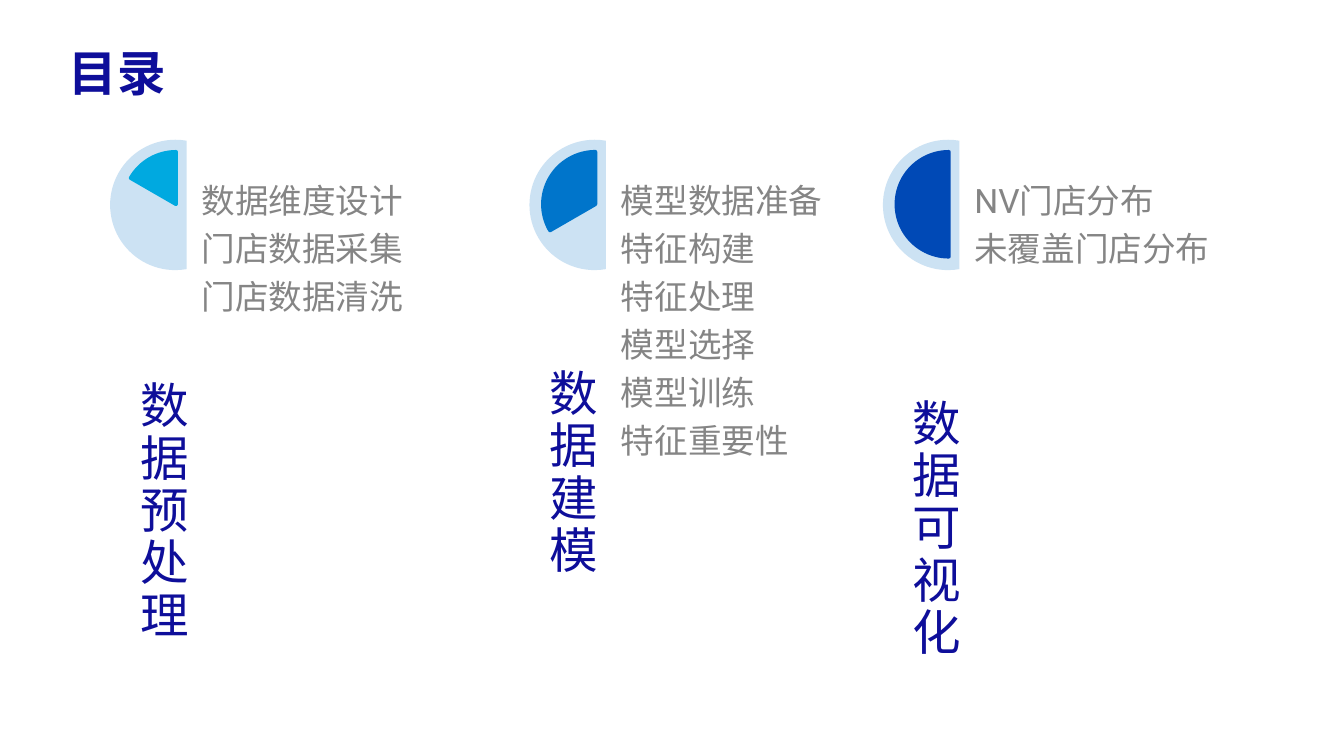
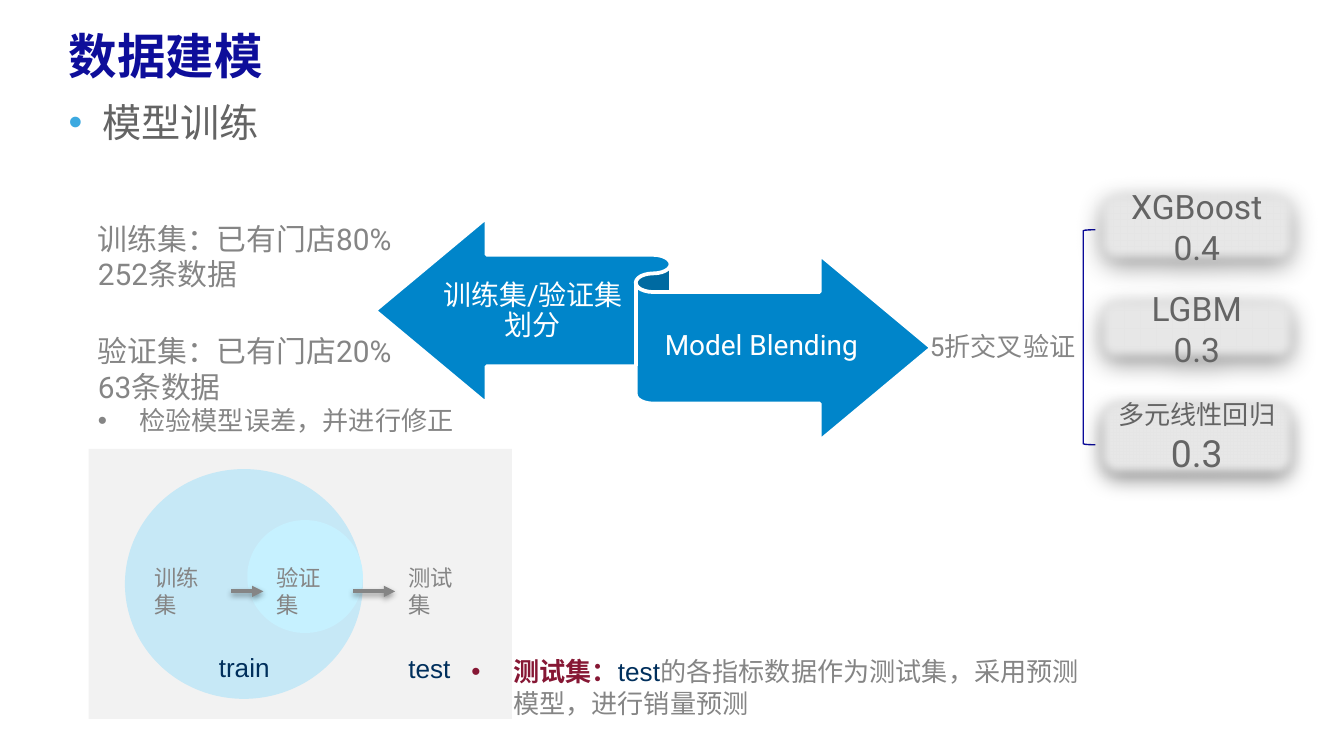
from lxml import etree
from pptx import Presentation
from pptx.dml.color import RGBColor
from pptx.enum.shapes import MSO_CONNECTOR, MSO_SHAPE
from pptx.enum.text import MSO_ANCHOR, MSO_AUTO_SIZE, PP_ALIGN
from pptx.oxml.ns import qn
from pptx.util import Inches, Pt

NAVY = RGBColor(0x0E, 0x0E, 0x9A)
BRACKET_BLUE = RGBColor(0x0A, 0x0A, 0x9A)
INK_BLUE = RGBColor(0x00, 0x2F, 0x5C)
CYAN = RGBColor(0x00, 0xA9, 0xE0)
MID_BLUE = RGBColor(0x00, 0x75, 0xCB)
DEEP_BLUE = RGBColor(0x00, 0x49, 0xB6)
RIBBON_BLUE = RGBColor(0x00, 0x85, 0xCA)
BULLET_BLUE = RGBColor(0x3C, 0xA9, 0xE0)
PALE_BLUE = RGBColor(0xCC, 0xE2, 0xF3)
TRAIN_BLUE = RGBColor(0xC6, 0xE8, 0xF6)
VALID_BLUE = RGBColor(0xC6, 0xF1, 0xFF)
MAROON = RGBColor(0x86, 0x17, 0x34)
GRAY = RGBColor(0x85, 0x85, 0x85)
DARK_GRAY = RGBColor(0x64, 0x64, 0x64)
CARD_GRAY = RGBColor(0xE7, 0xE7, 0xE7)
EDGE_GRAY = RGBColor(0xD9, 0xD9, 0xD9)
PANEL_GRAY = RGBColor(0xF2, 0xF2, 0xF2)
BLACK = RGBColor(0, 0, 0)
WHITE = RGBColor(0xFF, 0xFF, 0xFF)

LEFT, CENTER, RIGHT = PP_ALIGN.LEFT, PP_ALIGN.CENTER, PP_ALIGN.RIGHT
TOP, MIDDLE, BOTTOM = MSO_ANCHOR.TOP, MSO_ANCHOR.MIDDLE, MSO_ANCHOR.BOTTOM
FIT_SHAPE, NO_FIT = MSO_AUTO_SIZE.SHAPE_TO_FIT_TEXT, MSO_AUTO_SIZE.NONE
CHORD, PIE = MSO_SHAPE.CHORD, MSO_SHAPE.PIE
RECT, OVAL, ROUNDED = MSO_SHAPE.RECTANGLE, MSO_SHAPE.OVAL, MSO_SHAPE.ROUNDED_RECTANGLE
RIBBON, BRACKET = MSO_SHAPE.LEFT_RIGHT_RIBBON, MSO_SHAPE.LEFT_BRACKET
STRAIGHT = MSO_CONNECTOR.STRAIGHT

FONT = "Roboto"
DEGREE = 0.6  # adjustment units per degree
RIGHT_SIDE, LEFT_SIDE = 3, 1
SPACED = dict(spacing=0.9, after_pct=35)


# Shared helpers
def child(parent, tag, **attributes):
    element = etree.SubElement(parent, qn(tag))
    for key, value in attributes.items():
        element.set(key, str(value))
    return element


def format_paragraph(paragraph, align=LEFT, spacing=None, before=None, before_pct=None,
                     after_pct=None, hang=0, bullet_color=None):
    paragraph.alignment = align
    if spacing:
        paragraph.line_spacing = spacing
    if before:
        paragraph.space_before = Pt(before)
    properties = paragraph._p.get_or_add_pPr()
    for tag, percent in (("a:spcBef", before_pct), ("a:spcAft", after_pct)):
        if percent:
            child(child(properties, tag), "a:spcPct", val=percent * 1000)
    properties.set("marL", str(Inches(hang)))
    properties.set("indent", str(-Inches(hang)))
    if hang:
        if bullet_color:
            child(child(properties, "a:buClr"), "a:srgbClr", val=bullet_color)
        child(properties, "a:buFont", typeface="Arial")
        child(properties, "a:buChar", char="•")


def write(frame, *paragraphs, insets=(0.1, 0.05), anchor=TOP, fit=NO_FIT,
          size=18, color=GRAY, font=FONT, bold=False, **layout):
    """Each paragraph is a string or a list of runs (text, changes), or a dict
    with such "runs" and its own format."""
    frame.word_wrap = True
    frame.auto_size = fit
    frame.vertical_anchor = anchor
    frame.margin_left = frame.margin_right = Inches(insets[0])
    frame.margin_top = frame.margin_bottom = Inches(insets[1])
    for index, item in enumerate(paragraphs):
        own = dict(item) if isinstance(item, dict) else dict(runs=item)
        runs = own.pop("runs")
        own_size = own.pop("size", size)
        paragraph = frame.paragraphs[0] if index == 0 else frame.add_paragraph()
        format_paragraph(paragraph, **{**layout, **own})
        for text, changes in [(runs, {})] if isinstance(runs, str) else runs:
            run = paragraph.add_run()
            run.text = text
            run.font.size = Pt(own_size)
            run.font.name = changes.get("font", font)
            run.font.bold = changes.get("bold", bold)
            run.font.color.rgb = changes.get("color", color)
            child(run._r.get_or_add_rPr(), "a:ea", typeface=FONT)


def place(shape, box):
    shape.left, shape.top, shape.width, shape.height = map(Inches, box)


def add_text(slide, box, *paragraphs, **style):
    label = slide.shapes.add_textbox(*map(Inches, box))
    write(label.text_frame, *paragraphs, **style)
    return label


def add_shape(slide, preset, box, fill=None, line=None, width=2, angles=()):
    shape = slide.shapes.add_shape(preset, *map(Inches, box))
    shape.shadow.inherit = False
    if fill is None:
        shape.fill.background()
    else:
        shape.fill.solid()
        shape.fill.fore_color.rgb = fill
    if line is None:
        shape.line.fill.background()
    else:
        shape.line.color.rgb = line
        shape.line.width = Pt(width)
    for index, angle in enumerate(angles):
        shape.adjustments[index] = angle * DEGREE
    return shape


def add_shadow(shape, alpha, blur, distance, soft_edge=0):
    properties = shape._element.spPr
    effects = properties.find(qn("a:effectLst"))
    if effects is None:
        effects = child(properties, "a:effectLst")
    shadow = child(effects, "a:outerShdw", blurRad=Pt(blur), dist=Pt(distance),
                   dir=90 * 60000, rotWithShape=0)
    child(child(shadow, "a:srgbClr", val=BLACK), "a:alpha", val=alpha * 1000)
    if soft_edge:
        child(effects, "a:softEdge", rad=Pt(soft_edge))


def add_arrow(slide, source, target):
    arrow = slide.shapes.add_connector(STRAIGHT, 0, 0, 0, 0)
    arrow.begin_connect(source, RIGHT_SIDE)
    arrow.end_connect(target, LEFT_SIDE)
    arrow.line.color.rgb = GRAY
    arrow.line.width = Pt(2)
    child(arrow.line._get_or_add_ln(), "a:tailEnd", type="triangle")
    add_shadow(arrow, 38, 3.1, 1.6)


def set_title(slide, text, top, height):
    title = slide.shapes.title
    place(title, (0.41, top, 7.85, height))
    write(title.text_frame, text, size=26, color=NAVY, bold=True, spacing=Pt(26.6))


# Contents slide
def add_chapter(slide, left, top, name, name_left, name_top, topics, topics_width,
                color, start):
    add_shape(slide, CHORD, (left, top, 0.97, 0.97), PALE_BLUE, angles=(80, 280))
    add_shape(slide, PIE, (left + 0.1, top + 0.09, 0.78, 0.78), color, color,
              angles=(start, 270))
    heading = add_text(slide, (left + name_left, top + name_top, 2.82, 0.58), name,
                       size=26, color=NAVY, anchor=BOTTOM, insets=(0, 0), align=RIGHT,
                       **SPACED)
    heading.rotation = 270
    heading.text_frame._txBody.bodyPr.set("vert", "vert")
    add_text(slide, (left + 0.68, top + 0.33, topics_width, 3.21), *topics,
             insets=(0, 0), **SPACED)


def build_contents(deck):
    slide = deck.slides.add_slide(deck.slide_layouts[5])
    set_title(slide, "目录", 0.33, 0.88)
    chapters = [
        (0.82, "数据预处理", -1.11, 2.05, ["数据维度设计", "门店数据采集", "门店数据清洗"],
         2.1, CYAN, 210),
        (3.94, "数据建模", -1.19, 1.57, ["模型数据准备", "特征构建", "特征处理", "模型选择",
                                     "模型训练", "特征重要性"], 1.6, MID_BLUE, 150),
        (6.57, "数据可视化", -1.12, 2.18, ["NV门店分布", "未覆盖门店分布"],
         2.34, DEEP_BLUE, 90),
    ]
    for left, *details in chapters:
        add_chapter(slide, left, 1.04, *details)


# Modelling slide
def add_data_split(slide, left, top):
    add_shape(slide, RECT, (left, top, 3.15, 2.01), PANEL_GRAY)
    add_shape(slide, OVAL, (left + 0.27, top + 0.15, 1.77, 1.71), TRAIN_BLUE)
    add_shape(slide, OVAL, (left + 1.18, top + 0.53, 0.86, 0.84), VALID_BLUE)
    train, valid, test = [
        add_text(slide, (left + x, top + 0.81, 0.67, 0.5), name, size=12, fit=FIT_SHAPE)
        for x, name in ((0.39, "训练集"), (1.3, "验证集"), (2.28, "测试集"))]
    add_arrow(slide, train, valid)
    add_arrow(slide, valid, test)
    for x, y, width, name in ((2.28, 1.49, 1.03, "test"), (0.87, 1.48, 0.86, "train")):
        add_text(slide, (left + x, top + y, width, 0.31), name, size=14, font="Arial",
                 color=INK_BLUE, fit=FIT_SHAPE, **SPACED)


def add_ribbon(slide, left, top):
    add_shape(slide, RIBBON, (left, top, 4.14, 1.66), RIBBON_BLUE, WHITE)
    for x, y, width, name in ((0.49, 0.29, 1.37, "训练集/验证集划分"),
                              (2.07, 0.55, 1.61, "Model Blending")):
        add_text(slide, (left + x, top + y, width, 0.81), name, size=15, color=WHITE,
                 anchor=MIDDLE, insets=(0, 0.06), align=CENTER, **SPACED)


def add_models(slide, left, top):
    add_shape(slide, BRACKET, (left, top + 0.31, 0.09, 1.6), line=BRACKET_BLUE, width=0.75)
    models = [
        (0, 0.57, "XGBoost", 18, "0.4", 18, (43, 14, 4)),
        (0.79, 0.51, "LGBM", 18, "0.3", 18, (43, 13, 4)),
        (1.54, 0.62, "多元线性回归", 14, "0.3", 20, (49, 11, 4)),
    ]
    for y, height, name, name_size, weight, weight_size, shadow in models:
        card = add_shape(slide, ROUNDED, (left + 0.09, top + y, 1.51, height),
                         CARD_GRAY, EDGE_GRAY)
        add_shadow(card, *shadow, soft_edge=5)
        write(card.text_frame, dict(runs=name, size=name_size),
              dict(runs=weight, size=weight_size), color=DARK_GRAY, anchor=MIDDLE,
              align=CENTER)


def add_notes_on_sets(slide, left, top):
    add_text(slide, (left, top, 3.73, 1.75), "训练集：已有门店80%", "252条数据",
             dict(runs="验证集：已有门店20%", before=22), "63条数据",
             dict(runs="检验模型误差，并进行修正", size=14, hang=0.31),
             size=16, fit=FIT_SHAPE)
    add_text(slide, (left + 2.78, top + 3.24, 4.86, 0.57),
             [("测试集：", dict(color=MAROON, bold=True)),
              ("test", dict(font="Arial", color=INK_BLUE)),
              ("的各指标数据作为测试集，采用预测模型，进行销量预测", {})],
             size=14, hang=0.31, bullet_color=MAROON, fit=FIT_SHAPE)


def build_modelling(deck):
    slide = deck.slides.add_slide(deck.slide_layouts[1])
    set_title(slide, "数据建模", 0.21, 0.63)
    subject = slide.placeholders[1]
    place(subject, (0.41, 0.72, 7.85, 0.45))
    write(subject.text_frame, "模型训练", size=21, color=DARK_GRAY, spacing=0.9,
          before_pct=20, hang=0.25, bullet_color=BULLET_BLUE)
    add_data_split(slide, 0.66, 3.34)
    add_ribbon(slide, 2.79, 1.62)
    add_notes_on_sets(slide, 0.63, 1.59)
    add_text(slide, (6.82, 2.41, 1.51, 0.34), "5折交叉验证", size=14, fit=FIT_SHAPE)
    add_models(slide, 8.06, 1.4)


def main():
    deck = Presentation()
    deck.slide_width = Inches(10)
    deck.slide_height = deck.slide_width * 9 // 16
    build_contents(deck)
    build_modelling(deck)
    deck.save("out.pptx")


if __name__ == "__main__":
    main()
